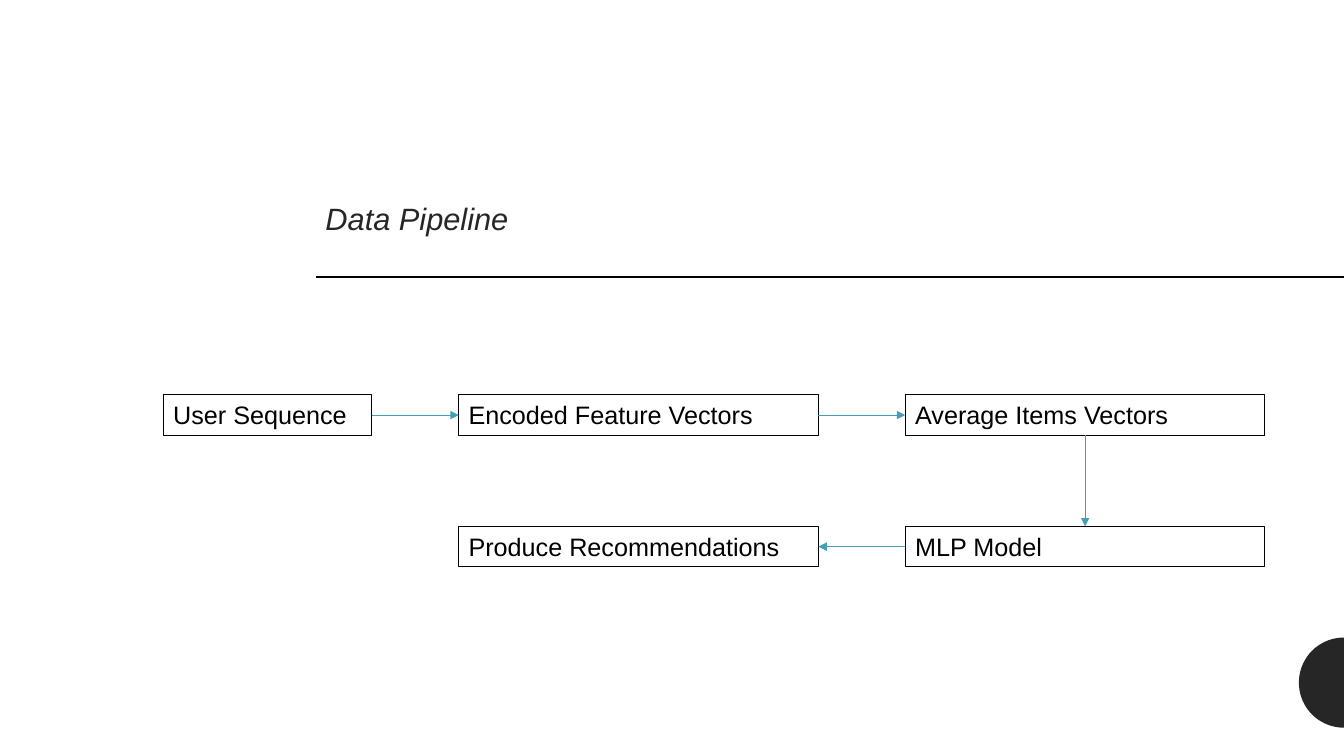
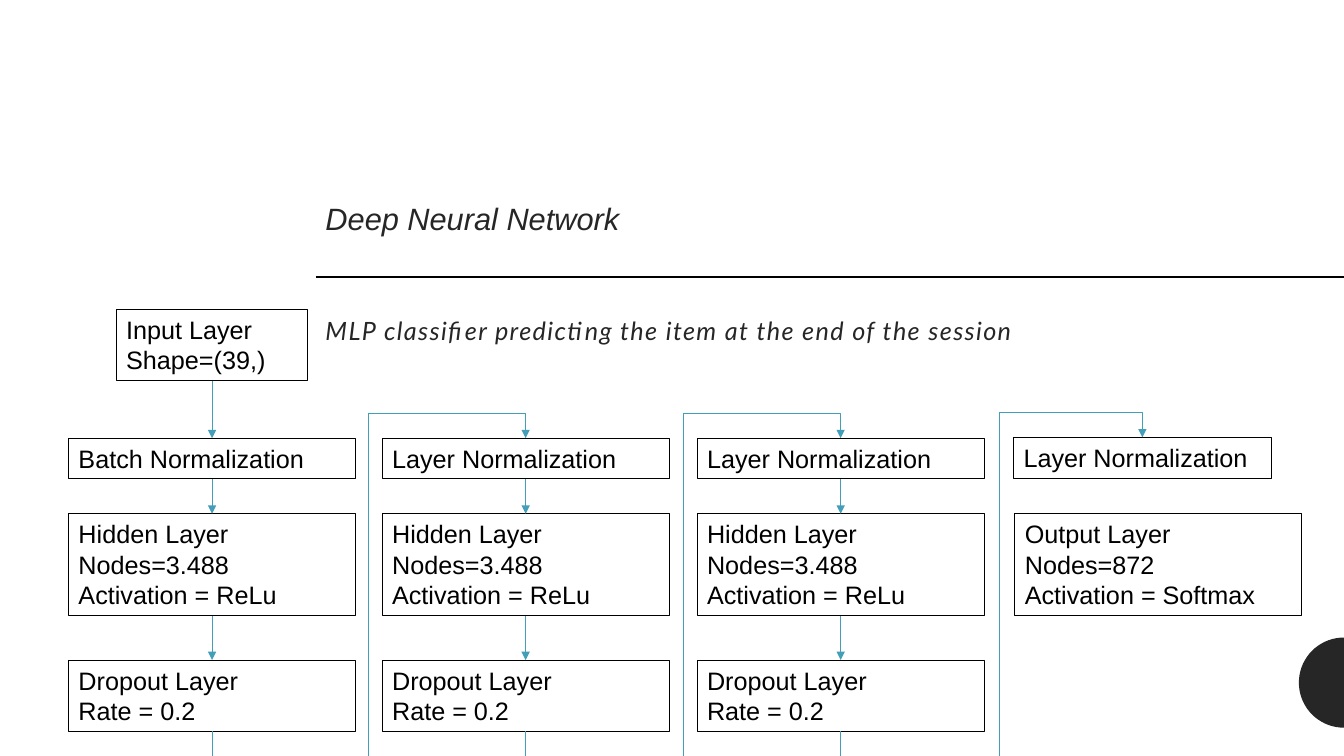
import math

import pptx
import pptx.dml.color
import pptx.enum.shapes
import pptx.enum.text
import pptx.oxml.ns
import pptx.util
from lxml import etree

Pt = pptx.util.Pt
RGB = pptx.dml.color.RGBColor
KIND = pptx.enum.shapes.MSO_CONNECTOR
qn = pptx.oxml.ns.qn

BLACK = RGB(0x00, 0x00, 0x00)
DARK = RGB(0x26, 0x26, 0x26)
TEAL = RGB(0x43, 0x9E, 0xB7)
TOP, LEFT, BOTTOM, RIGHT = range(4)
WIDE, HIGH = 960, 540
EDGE = 225.4


def box(slide, text, x, y, w, h, size=18, color=BLACK, font="Arial", border=True):
    """Add a text box; unbordered ones are italic headings."""
    shape = slide.shapes.add_textbox(Pt(x), Pt(y), Pt(w), Pt(h))
    frame = shape.text_frame
    frame.word_wrap = True
    frame.text = text
    for para in frame.paragraphs:
        for run in para.runs:
            run.font.name = font
            run.font.size = Pt(size)
            run.font.color.rgb = color
            run.font.italic = not border
    if border:
        shape.line.color.rgb = BLACK
        shape.line.width = Pt(0.75)
    return shape


def link(slide, start, out, end, into, kind=KIND.STRAIGHT):
    """Join two boxes by an arrow from side out to side into."""
    arrow = slide.shapes.add_connector(kind, 0, 0, 0, 0)
    arrow.begin_connect(start, out)
    arrow.end_connect(end, into)
    arrow.line.color.rgb = TEAL
    arrow.line.width = Pt(0.5)
    line = arrow.line._get_or_add_ln()
    etree.SubElement(line, qn("a:tailEnd"), type="triangle")
    etree.SubElement(arrow._element.spPr, qn("a:effectLst"))
    return arrow


deck = pptx.Presentation()
deck.slide_width = Pt(WIDE)
deck.slide_height = Pt(HIGH)

# Shared title, rule and half disc
slides = []
for title in ("Data Pipeline", "Deep Neural Network"):
    slide = deck.slides.add_slide(deck.slide_layouts[6])
    slides.append(slide)
    head = box(slide, title, EDGE, 90, 599, 82.8, 22, DARK, border=False)
    head.text_frame.vertical_anchor = pptx.enum.text.MSO_ANCHOR.BOTTOM

    rule = slide.shapes.add_connector(KIND.STRAIGHT, Pt(EDGE), Pt(198), Pt(WIDE), Pt(198))
    rule.line.color.rgb = BLACK
    rule.line.width = Pt(1.5)
    etree.SubElement(rule._element.spPr, qn("a:effectLst"))

    mid, radius = 487.6, 32.2
    arc = []
    for deg in range(90, 271, 5):
        turn = math.radians(deg)
        arc.append((Pt(WIDE + radius * math.cos(turn)), Pt(mid + radius * math.sin(turn))))
    pen = slide.shapes.build_freeform(*arc[0])
    pen.add_line_segments(arc[1:], close=True)
    disc = pen.convert_to_shape()
    disc.shadow.inherit = False
    disc.fill.solid()
    disc.fill.fore_color.rgb = DARK
    disc.line.fill.background()

flow, net = slides

# Data pipeline
user = box(flow, "User Sequence", 116.6, 282, 149, 29)
code = box(flow, "Encoded Feature Vectors", 327.6, 282, 257, 29)
mean = box(flow, "Average Items Vectors", 646.6, 282, 257, 29)
model = box(flow, "MLP Model", 646.6, 376, 257, 29)
result = box(flow, "Produce Recommendations", 327.6, 376, 257, 29)
link(flow, user, RIGHT, code, LEFT)
link(flow, code, RIGHT, mean, LEFT)
link(flow, mean, BOTTOM, model, TOP)
link(flow, model, LEFT, result, RIGHT)

# Network layers
note = box(net, "MLP classifier predicting the item at the end of the session",
           EDGE, 224, 599, 28, 18, DARK, "Lato", border=False)
para = note.text_frame.paragraphs[0]
para.line_spacing = 0.9
para.runs[0]._r.get_or_add_rPr().set("spc", "100")

first = box(net, "Input Layer\nShape=(39,)", 83, 221, 137, 51)
norms, drops = [], []
for x, name in ((49, "Batch"), (273, "Layer"), (498, "Layer")):
    norm = box(net, f"{name} Normalization", x, 313, 205, 29)
    dense = box(net, "Hidden Layer\nNodes=3.488\nActivation = ReLu", x, 367, 205, 73)
    drop = box(net, "Dropout Layer\nRate = 0.2", x, 471.5, 205, 51)
    link(net, norm, BOTTOM, dense, TOP)
    link(net, dense, BOTTOM, drop, TOP)
    norms.append(norm)
    drops.append(drop)
norms.append(box(net, "Layer Normalization", 724, 312.5, 184, 29))
box(net, "Output Layer\nNodes=872\nActivation = Softmax", 725, 367, 205, 73)
link(net, first, BOTTOM, norms[0], TOP)

# Each column feeds the next through the lane between them
for drop, norm in zip(drops, norms[1:]):
    arrow = link(net, drop, BOTTOM, norm, TOP, KIND.ELBOW)
    x, y = arrow.begin_x, arrow.begin_y
    run, rise = arrow.end_x - x, y - arrow.end_y
    arrow.left = x + (run - rise) // 2
    arrow.top = y - (rise + run) // 2
    arrow.width, arrow.height = rise, run
    frame = arrow._element.spPr.find(qn("a:xfrm"))
    for key, value in (("rot", "5400000"), ("flipH", "1"), ("flipV", "1")):
        frame.set(key, value)
    shape = arrow._element.spPr.find(qn("a:prstGeom"))
    shape.set("prst", "bentConnector5")
    guides = shape.find(qn("a:avLst"))
    over = Pt(18) / rise
    lane = (norm.left - Pt(10) - x) / run
    for num, part in enumerate((-over, lane, 1 + over), 1):
        etree.SubElement(guides, qn("a:gd"), name=f"adj{num}",
                         fmla=f"val {round(part * 100000)}")

deck.save("out.pptx")
